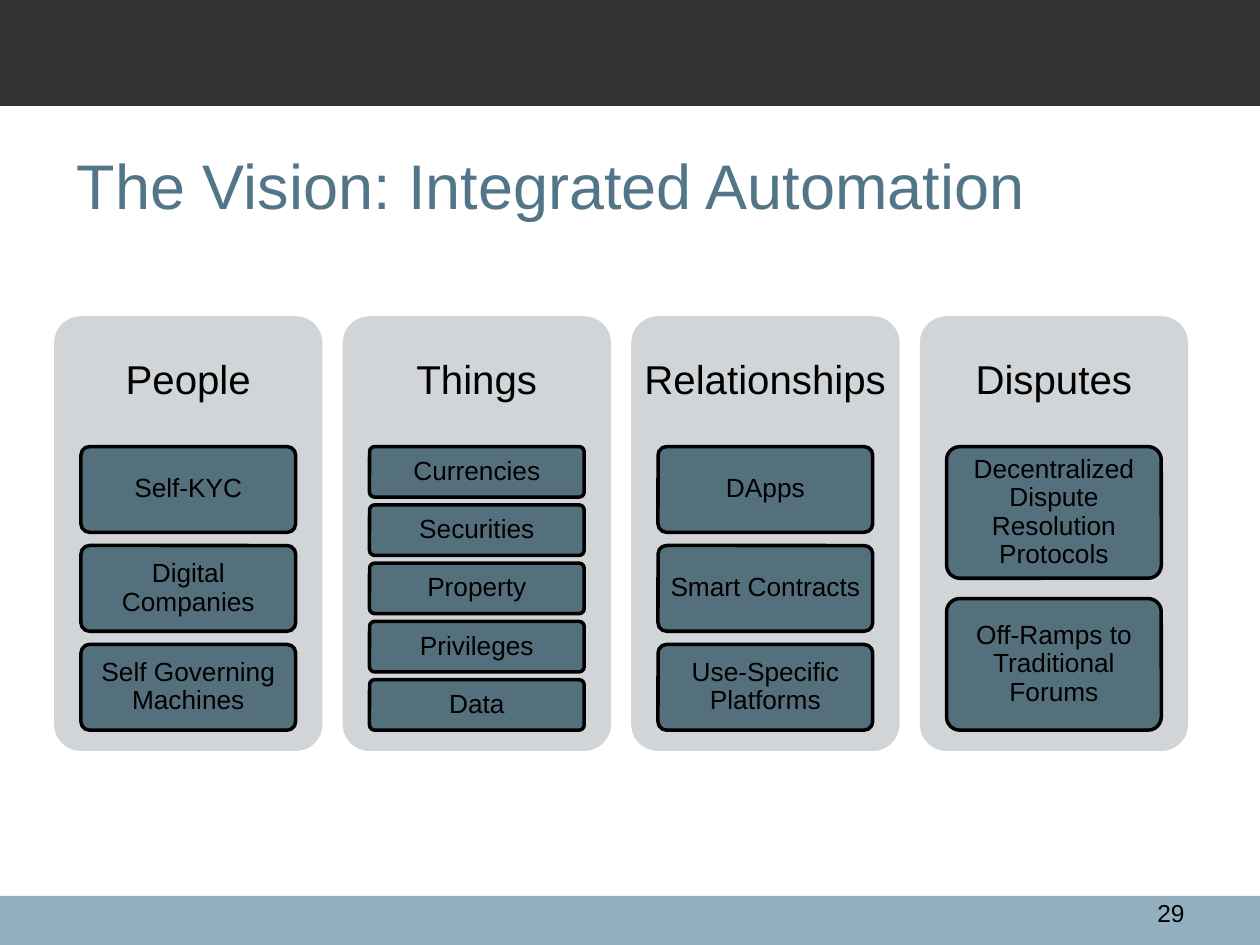
from pptx import Presentation
from pptx.dml.color import RGBColor
from pptx.enum.shapes import MSO_SHAPE
from pptx.enum.text import MSO_ANCHOR, PP_ALIGN
from pptx.util import Inches, Pt

THEME = {
    "font": "Arial",
    "band": "333333", "footer": "94B0BE", "title": "527688",
    "panel": "D1D5D7", "card": "55707D", "ink": "000000",
    "title_size": 36, "heading_size": 23, "card_size": 15, "number_size": 14,
}


def write(holder, text, size, color="ink", align=PP_ALIGN.CENTER,
          anchor=MSO_ANCHOR.MIDDLE, margins=(0.1, 0.05), spacing=None):
    frame = holder.text_frame
    frame.word_wrap = True
    frame.vertical_anchor = anchor
    frame.margin_left = frame.margin_right = Inches(margins[0])
    frame.margin_top = frame.margin_bottom = Inches(margins[1])
    frame.text = text
    paragraph = frame.paragraphs[0]
    paragraph.alignment = align
    paragraph.line_spacing = spacing
    paragraph.font.name = THEME["font"]
    paragraph.font.size = Pt(THEME[size])
    paragraph.font.color.rgb = RGBColor.from_string(THEME[color])


def block(kind, left, top, width, height, fill, line=None):
    shape = slide.shapes.add_shape(
        kind, Inches(left), Inches(top), Inches(width), Inches(height))
    shape.shadow.inherit = False
    shape.fill.solid()
    shape.fill.fore_color.rgb = RGBColor.from_string(THEME[fill])
    if line:
        shape.line.color.rgb = RGBColor.from_string(THEME[line])
        shape.line.width = Pt(2)
    else:
        shape.line.fill.background()
    if kind == MSO_SHAPE.ROUNDED_RECTANGLE:
        shape.adjustments[0] = 0.1
    return shape


deck = Presentation()
deck.slide_width, deck.slide_height = Inches(10), Inches(7.5)
slide = deck.slides.add_slide(deck.slide_layouts[5])

# Footer and header bands
block(MSO_SHAPE.RECTANGLE, 0, 7.11, 10, 0.39, "footer")
block(MSO_SHAPE.RECTANGLE, 0, 0, 10, 0.84, "band")

# Title
title = slide.shapes.title
title.left, title.top = Inches(0.51), Inches(0.84)
title.width, title.height = Inches(9), Inches(1.25)
write(title, "The Vision: Integrated Automation", "title_size", "title",
      align=PP_ALIGN.LEFT)

# Four panels, each with a heading and a stack of cards
PANELS = {
    "People": ["Self-KYC", "Digital Companies", "Self Governing Machines"],
    "Things": ["Currencies", "Securities", "Property", "Privileges", "Data"],
    "Relationships": ["DApps", "Smart Contracts", "Use-Specific Platforms"],
    "Disputes": ["Decentralized Dispute Resolution Protocols",
                 "Off-Ramps to Traditional Forums"],
}
GRID_LEFT, GRID_TOP, COLUMN_PITCH = 0.43, 2.51, 2.29
PANEL_WIDTH, PANEL_HEIGHT = 2.13, 3.45
HEADING_HEIGHT = PANEL_HEIGHT * 0.3
CARD_WIDTH = PANEL_WIDTH * 0.8
STACK_TOP, STACK_HEIGHT = GRID_TOP + HEADING_HEIGHT, 2.25
GAP_SHARE = 2 / 13  # gap between cards, as a share of card height

for column, (heading, cards) in enumerate(PANELS.items()):
    left = GRID_LEFT + column * COLUMN_PITCH
    block(MSO_SHAPE.ROUNDED_RECTANGLE, left, GRID_TOP,
          PANEL_WIDTH, PANEL_HEIGHT, "panel")
    heading_box = slide.shapes.add_textbox(
        Inches(left), Inches(GRID_TOP),
        Inches(PANEL_WIDTH), Inches(HEADING_HEIGHT))
    write(heading_box, heading, "heading_size", margins=(0.05, 0.1), spacing=0.9)

    card_height = STACK_HEIGHT / (len(cards) + (len(cards) - 1) * GAP_SHARE)
    card_left = left + (PANEL_WIDTH - CARD_WIDTH) / 2
    for row, label in enumerate(cards):
        card_top = STACK_TOP + row * card_height * (1 + GAP_SHARE)
        card = block(MSO_SHAPE.ROUNDED_RECTANGLE, card_left, card_top,
                     CARD_WIDTH, card_height, "card", line="ink")
        write(card, label, "card_size", margins=(0.04, 0.03), spacing=0.9)

# Page number
page_number = slide.shapes.add_textbox(
    Inches(8.86), Inches(7.08), Inches(0.64), Inches(0.24))
write(page_number, "29", "number_size", align=PP_ALIGN.RIGHT,
      anchor=MSO_ANCHOR.TOP)

deck.save("out.pptx")
